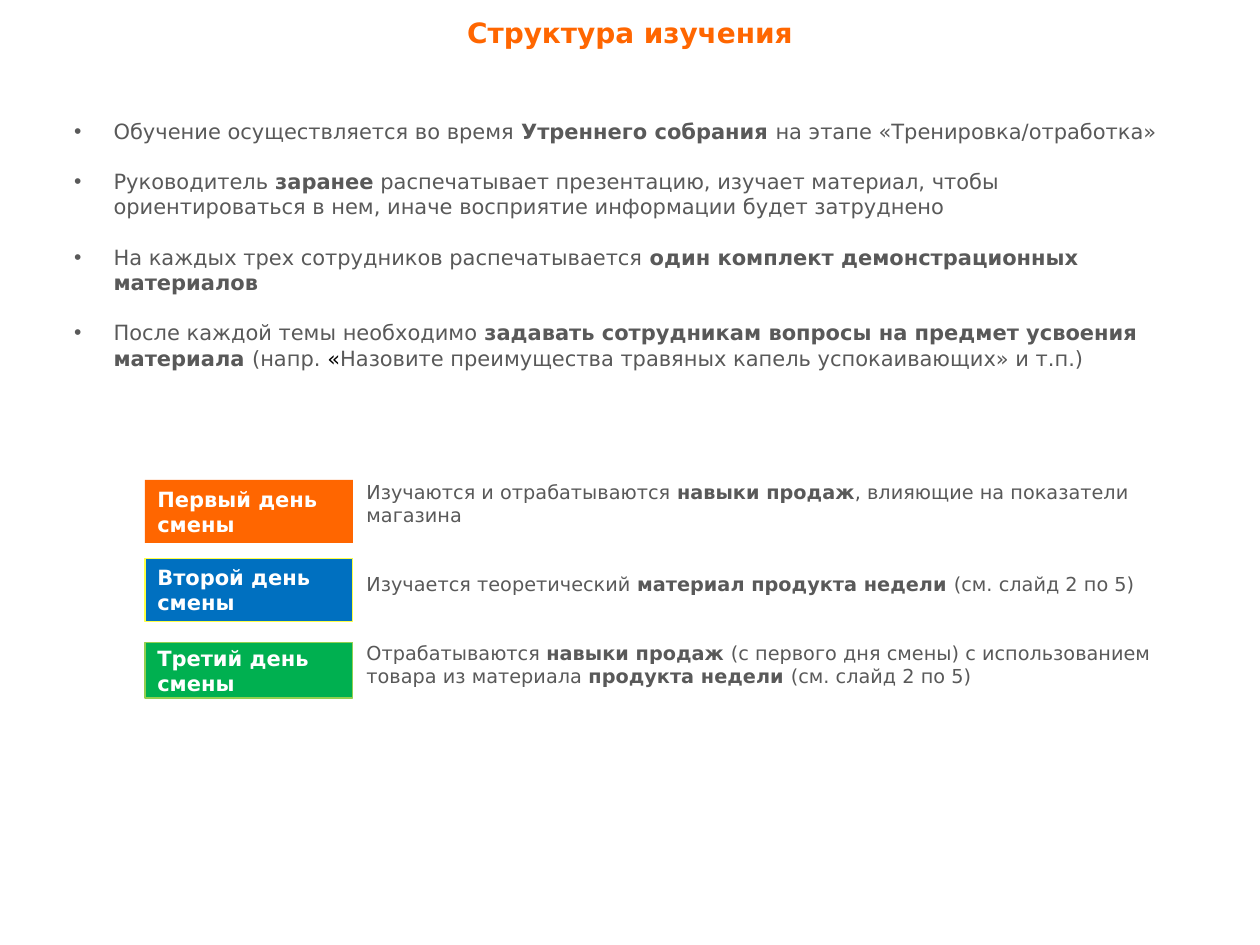
from lxml.etree import SubElement
from pptx import Presentation
from pptx.dml.color import RGBColor
from pptx.enum.shapes import MSO_SHAPE as Shape
from pptx.enum.text import MSO_ANCHOR as Anchor, MSO_AUTO_SIZE as AutoSize, PP_ALIGN as Align
from pptx.oxml.ns import qn
from pptx.util import Pt

FONT = "DejaVu Sans"
ORANGE = RGBColor(0xFF, 0x66, 0x00)
BLUE = RGBColor(0x00, 0x70, 0xC0)
GREEN = RGBColor(0x00, 0xB0, 0x50)
YELLOW = RGBColor(0xFF, 0xFF, 0x47)
LIME = RGBColor(0x92, 0xD0, 0x50)
GRAY = RGBColor(0x59, 0x59, 0x59)
WHITE = RGBColor(0xFF, 0xFF, 0xFF)
BLACK = RGBColor(0, 0, 0)

PLAIN, BOLD, DARK = (False, GRAY), (True, GRAY), (False, BLACK)

HEADING = "Структура изучения"
RULES = [
    [("Обучение осуществляется во время ", PLAIN), ("Утреннего собрания ", BOLD),
     ("на этапе «Тренировка/отработка»", PLAIN)],
    [("Руководитель ", PLAIN), ("заранее", BOLD),
     (" распечатывает презентацию, изучает материал, чтобы ориентироваться в нем, "
      "иначе восприятие информации будет затруднено", PLAIN)],
    [("На каждых трех сотрудников распечатывается ", PLAIN),
     ("один комплект демонстрационных материалов", BOLD)],
    [("После каждой темы необходимо ", PLAIN),
     ("задавать сотрудникам вопросы на предмет усвоения материала ", BOLD),
     ("(напр. ", PLAIN), ("«", DARK),
     ("Назовите преимущества травяных капель успокаивающих» и т.п.)", PLAIN)],
]
TASKS = [
    [("Изучаются и отрабатываются ", PLAIN), ("навыки продаж", BOLD),
     (", влияющие на показатели магазина", PLAIN)],
    [("Изучается теоретический ", PLAIN), ("материал продукта недели ", BOLD),
     ("(см. слайд 2 по 5)", PLAIN)],
    [("Отрабатываются ", PLAIN), ("навыки продаж ", BOLD),
     ("(с первого дня смены) с использованием товара из материала ", PLAIN),
     ("продукта недели ", BOLD), ("(см. слайд 2 по 5)", PLAIN)],
]
DAYS = [
    ("Первый день смены", 274.3, 36, ORANGE, None),
    ("Второй день смены", 319, 36, BLUE, YELLOW),
    ("Третий день смены", 367.2, 31.7, GREEN, LIME),
]
DAY_LEFT, DAY_WIDTH = 82.8, 118.8
BULLET_INDENT = 22.5


def style(run, size, bold, color):
    run.font.name = FONT
    run.font.size = Pt(size)
    run.font.bold = bold
    run.font.color.rgb = color


def add_bullet(paragraph):
    props = paragraph._p.get_or_add_pPr()
    props.set("marL", str(Pt(BULLET_INDENT)))
    props.set("indent", str(-Pt(BULLET_INDENT)))
    color = SubElement(props, qn("a:buClr"))
    SubElement(color, qn("a:srgbClr"), val=str(GRAY))
    SubElement(props, qn("a:buFont"), typeface="Arial")
    SubElement(props, qn("a:buChar"), char="•")


def add_paragraphs(slide, box, paragraphs, size, gap, bulleted=False):
    frame = slide.shapes.add_textbox(*map(Pt, box)).text_frame
    frame.word_wrap = True
    for index, parts in enumerate(paragraphs):
        paragraph = frame.add_paragraph() if index else frame.paragraphs[0]
        if index:
            paragraph.space_before = Pt(gap)
        if bulleted:
            add_bullet(paragraph)
        for text, (bold, color) in parts:
            run = paragraph.add_run()
            run.text = text
            style(run, size, bold, color)


def add_day(slide, label, top, height, fill, outline):
    day = slide.shapes.add_shape(
        Shape.RECTANGLE, Pt(DAY_LEFT), Pt(top), Pt(DAY_WIDTH), Pt(height))
    day.shadow.inherit = False
    day.fill.solid()
    day.fill.fore_color.rgb = fill
    if outline is None:
        day.line.fill.background()
    else:
        day.line.color.rgb = outline
        day.line.width = Pt(0.75)
    frame = day.text_frame
    frame.text = label
    frame.word_wrap = True
    frame.vertical_anchor = Anchor.MIDDLE
    frame.paragraphs[0].alignment = Align.LEFT
    style(frame.paragraphs[0].runs[0], 12, True, WHITE)


def main():
    deck = Presentation()
    deck.slide_width, deck.slide_height = Pt(720), Pt(540)
    slide = deck.slides.add_slide(deck.slide_layouts[5])

    title = slide.shapes.title
    title.left, title.top, title.width, title.height = map(Pt, (0, 5, 720, 26.6))
    frame = title.text_frame
    frame.text = HEADING
    frame.auto_size = AutoSize.NONE
    frame.vertical_anchor = Anchor.TOP
    frame.paragraphs[0].alignment = Align.CENTER
    style(frame.paragraphs[0].runs[0], 16, True, ORANGE)

    add_paragraphs(slide, (202.3, 270.7, 481.7, 113), TASKS, 11, 26.2)
    add_paragraphs(slide, (35.3, 64.1, 651.6, 136.8), RULES, 12, 14.4, bulleted=True)
    for day in DAYS:
        add_day(slide, *day)
    deck.save("out.pptx")


if __name__ == "__main__":
    main()
